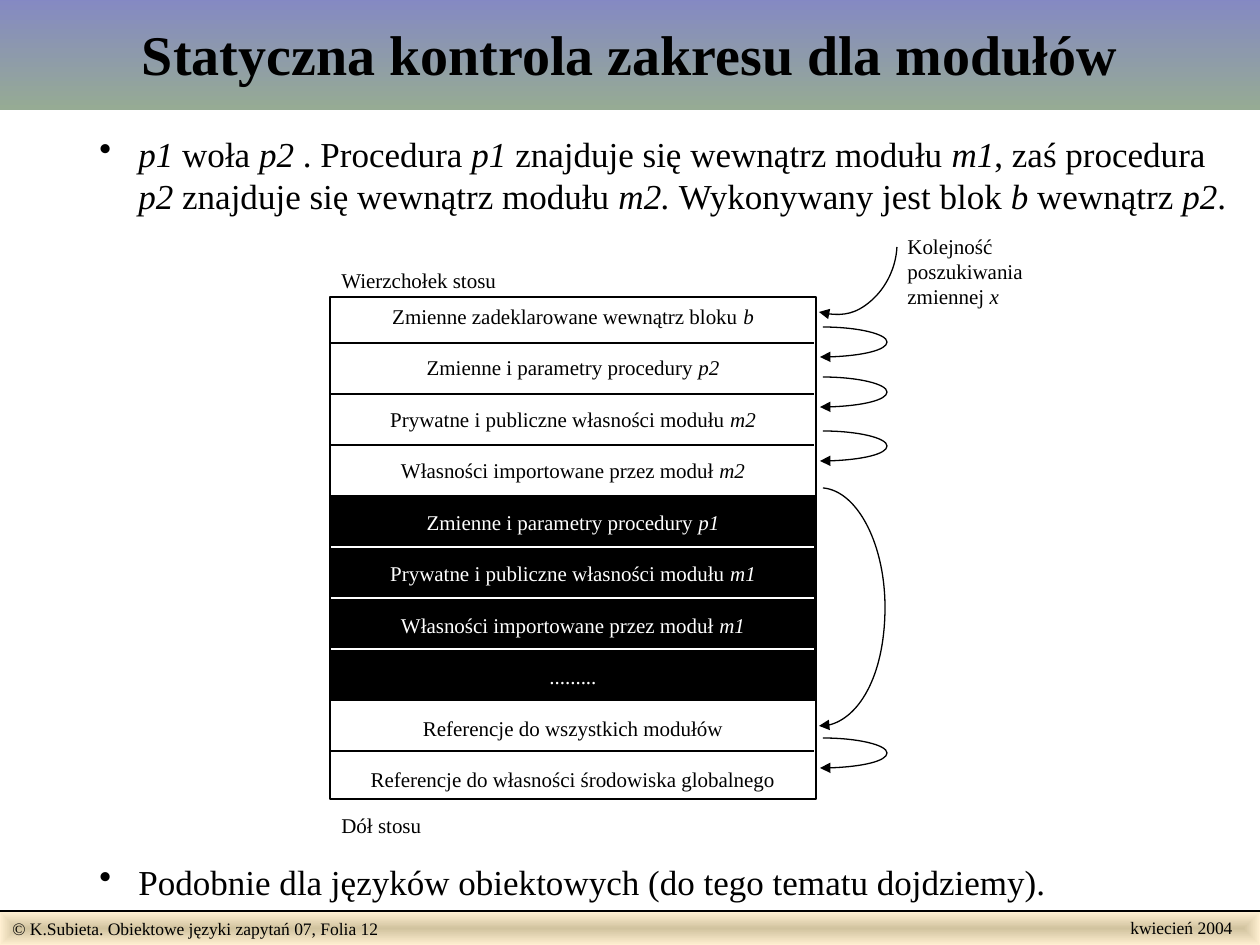
"""Build a slide on static scoping for modules, with its environment stack."""
import pptx
import pptx.util
import pptx.dml.color
import pptx.enum.shapes
import pptx.enum.text
import pptx.oxml
import pptx.oxml.ns
from lxml import etree

SCALE = 914400 / 126
COLORS = {"ink": "000000", "paper": "FFFFFF", "sky": "8488C4", "moss": "96AB94",
          "sand": "D1C39F", "cream": "FFEFD1"}
ALIGN = pptx.enum.text.PP_ALIGN
ANCHOR = pptx.enum.text.MSO_ANCHOR
RECT = pptx.enum.shapes.MSO_SHAPE.RECTANGLE
STRAIGHT = pptx.enum.shapes.MSO_CONNECTOR.STRAIGHT
qn = pptx.oxml.ns.qn

ROWS = [
    ("Zmienne zadeklarowane wewnątrz bloku *b*", "ink"),
    ("Zmienne i parametry procedury *p2*", "ink"),
    ("Prywatne i publiczne własności modułu *m2*", "ink"),
    ("Własności importowane przez moduł *m2*", "ink"),
    ("Zmienne i parametry procedury *p1*", "paper"),
    ("Prywatne i publiczne własności modułu *m1*", "paper"),
    ("Własności importowane przez moduł *m1*", "paper"),
    (".........", "paper"),
    ("Referencje do wszystkich modułów", "ink"),
    ("Referencje do własności środowiska globalnego", "ink"),
]


def px(v):
    return pptx.util.Emu(round(v * SCALE))


def rgb(name):
    return pptx.dml.color.RGBColor.from_string(COLORS[name])


class Deck:
    """Style and current slide, with a method for each kind of element."""
    font = "Times New Roman"
    line_width = 0.75

    def __init__(self, s):
        self.s = s

    def text(self, sp, lines, size, align=ALIGN.LEFT, anchor=ANCHOR.TOP,
             wrap=True, bold=False, gap=0, bullet=False):
        tf = sp.text_frame
        frame = {"word_wrap": wrap, "vertical_anchor": anchor,
                 "auto_size": pptx.enum.text.MSO_AUTO_SIZE.NONE,
                 "margin_left": pptx.util.Inches(0.1), "margin_right": pptx.util.Inches(0.1),
                 "margin_top": pptx.util.Inches(0.05), "margin_bottom": pptx.util.Inches(0.05)}
        for key, value in frame.items():
            setattr(tf, key, value)
        for i, (line, color) in enumerate(lines):
            p = tf.add_paragraph() if i else tf.paragraphs[0]
            if bullet:
                pPr = p._p.get_or_add_pPr()
                pPr.set("marL", str(px(39)))
                pPr.set("indent", str(-px(39)))
                etree.SubElement(pPr, qn("a:buChar")).set("char", "•")
            form = {"alignment": align, "space_before": pptx.util.Pt(gap if i else 0),
                    "space_after": pptx.util.Pt(gap)}
            for key, value in form.items():
                setattr(p, key, value)
            for j, part in enumerate(line.split("*")):
                if part:
                    self.run(p, part, color, {"name": self.font, "bold": bold,
                                              "size": pptx.util.Pt(size), "italic": j % 2 == 1})

    def run(self, p, text, color, form):
        r = p.add_run()
        r.text = text
        for key, value in form.items():
            setattr(r.font, key, value)
        r.font.color.rgb = rgb(color)

    def gradient(self, sp, first, last):
        sp.fill.gradient()
        sp.fill.gradient_angle = 270
        for stop, name, pos in zip(sp.fill.gradient_stops, (first, last), (0, 1)):
            stop.color.rgb = rgb(name)
            stop.position = pos

    def title(self, text, x, y, w, h):
        sp = self.s.shapes.title
        sp.left, sp.top, sp.width, sp.height = map(px, (x, y, w, h))
        self.gradient(sp, "sky", "moss")
        self.text(sp, [(text, "ink")], 32, ALIGN.CENTER, ANCHOR.MIDDLE, bold=True)

    def rect(self, x, y, w, h, fill=None, line=None):
        sp = self.s.shapes.add_shape(RECT, *map(px, (x, y, w, h)))
        sp.shadow.inherit = False
        if fill:
            sp.fill.solid()
            sp.fill.fore_color.rgb = rgb(fill)
        else:
            sp.fill.background()
        if line:
            self.stroke(sp, line, self.line_width)
        else:
            sp.line.fill.background()
        return sp

    def footer(self, text, x, y, w, h):
        sp = self.rect(x, y, w, h)
        self.gradient(sp, "sand", "cream")
        lin = sp._element.spPr.find(".//" + qn("a:lin"))
        lin.getparent().replace(lin, pptx.oxml.parse_xml(
            f'<a:path {pptx.oxml.ns.nsdecls("a")} path="rect">'
            '<a:fillToRect l="50000" t="50000" r="50000" b="50000"/></a:path>'))
        self.text(sp, [(text, "ink")], 10)

    def label(self, lines, x, y, w, h, size=12, **style):
        sp = self.s.shapes.add_textbox(*map(px, (x, y, w, h)))
        self.text(sp, [(line, "ink") for line in lines], size, **style)

    def stroke(self, sp, color, width):
        sp.line.color.rgb = rgb(color)
        sp.line.width = pptx.util.Pt(width)

    def rule(self, x1, x2, y, color="ink", width=line_width):
        sp = self.s.shapes.add_connector(STRAIGHT, px(x1), px(y), px(x2), px(y))
        self.stroke(sp, color, width)
        etree.SubElement(sp._element.spPr, qn("a:effectLst"))

    def curve(self, points):
        start, *rest = [(px(x), px(y)) for x, y in points]
        fb = self.s.shapes.build_freeform(*start, scale=1.0)
        fb.add_line_segments(rest, close=False)
        sp = fb.convert_to_shape()
        sp.shadow.inherit = False
        sp.fill.background()
        self.stroke(sp, "ink", self.line_width)
        ln = sp._element.spPr.find(qn("a:ln"))
        etree.SubElement(ln, qn("a:tailEnd")).set("type", "triangle")
        segments = list(sp._element.iter(qn("a:lnTo")))
        for i in range(0, len(segments), 3):
            bezier = pptx.oxml.parse_xml(f'<a:cubicBezTo {pptx.oxml.ns.nsdecls("a")}/>')
            segments[i].addprevious(bezier)
            for segment in segments[i:i + 3]:
                bezier.append(segment[0])
                segment.getparent().remove(segment)


def main():
    prs = pptx.Presentation()
    prs.slide_width, prs.slide_height = px(1260), px(945)
    d = Deck(prs.slides.add_slide(prs.slide_layouts[5]))

    d.title("Statyczna kontrola zakresu dla modułów", 0, -4, 1260, 114)
    d.label(["*p1 *woła* p2* . Procedura *p1* znajduje się wewnątrz modułu *m1*, "
             "zaś procedura *p2* znajduje się wewnątrz modułu *m2. *"
             "Wykonywany jest blok *b *wewnątrz *p2*."],
            87, 126, 1173, 98, size=20, bullet=True)
    d.label(["Podobnie dla języków obiektowych (do tego tematu dojdziemy)."],
            87, 854, 1173, 56, size=20, bullet=True)

    d.rect(330, 496, 486, 204, fill="ink", line="ink")
    stack = d.rect(330, 297, 486, 502, line="ink")
    d.text(stack, ROWS, 12, ALIGN.CENTER, gap=7.5)
    for i, (above, below) in enumerate(zip(ROWS, ROWS[1:])):
        inside = above[1] == below[1] == "paper"
        d.rule(331, 814, 343 + 51 * i, "paper" if inside else "ink")

    d.label(["Wierzchołek stosu"], 329, 261, 180, 38, wrap=False)
    d.label(["Dół stosu"], 329, 806, 105, 38, wrap=False)
    d.label(["Kolejność", "poszukiwania", "zmiennej *x*"], 895, 227, 146, 88)

    d.curve([(897, 247), (896, 268), (886, 288), (871, 301),
             (856, 314), (837, 317), (819, 312)])
    for y in (327, 377, 431, 738):
        d.curve([(823, y), (858, y), (887, y + 7), (887, y + 15),
                 (887, y + 23), (858, y + 30), (820, y + 30)])
    d.curve([(823, 488), (858, 491), (886, 546), (885, 611),
             (884, 677), (853, 728), (819, 726)])

    d.footer("© K.Subieta. Obiektowe języki zapytań 07, Folia 12", 0, 912, 1260, 33)
    d.rule(0, 1260, 911, width=1)
    d.label(["kwiecień 2004"], 1118, 911, 127, 34, size=10, wrap=False)
    prs.save("out.pptx")


if __name__ == "__main__":
    main()
